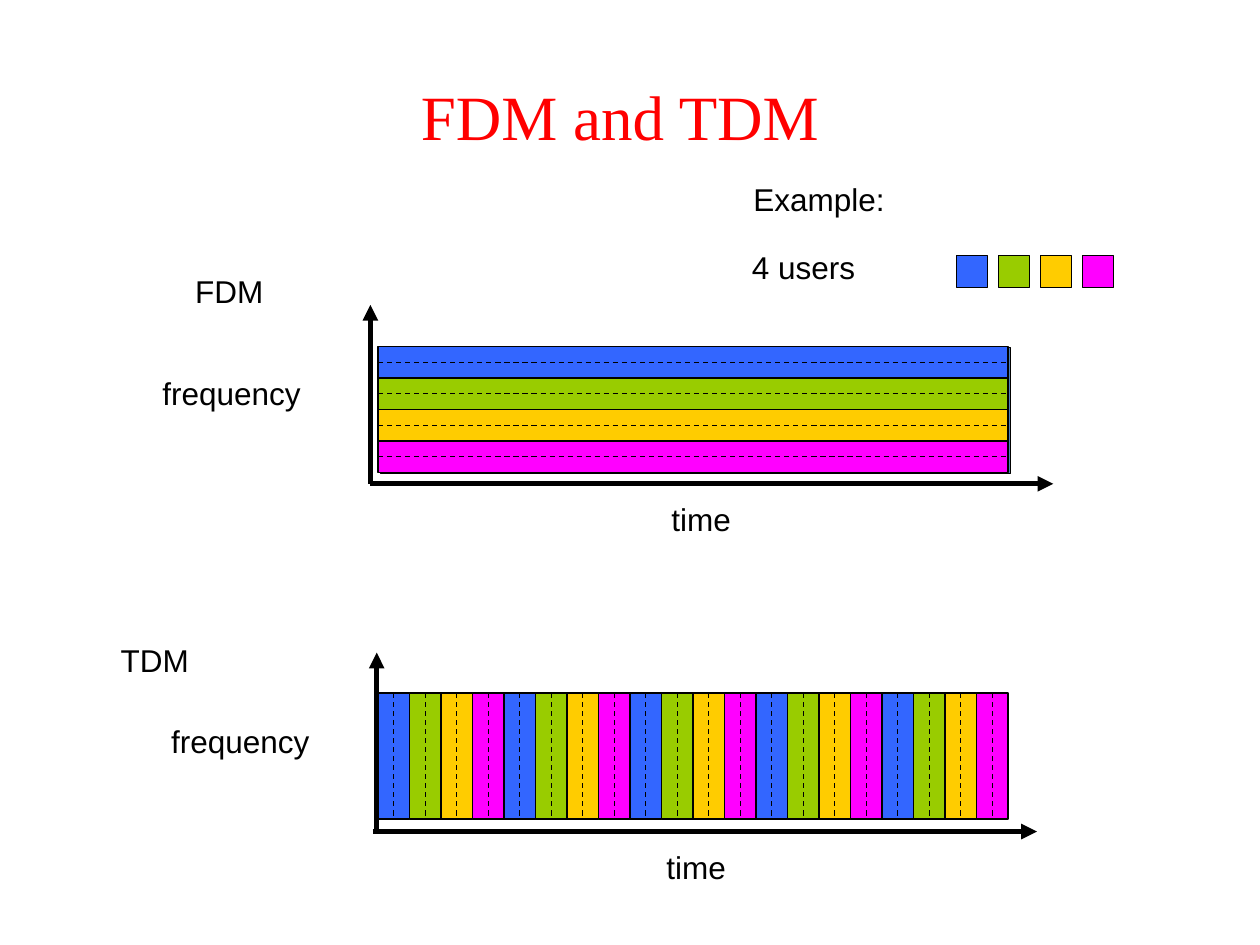
"""Build a slide comparing frequency and time division multiplexing."""
from typing import NamedTuple

from lxml.etree import SubElement
from pptx import Presentation
from pptx.dml.color import RGBColor
from pptx.enum.dml import MSO_LINE_DASH_STYLE as Dash
from pptx.enum.shapes import MSO_CONNECTOR as Conn, MSO_SHAPE as Shape
from pptx.enum.text import MSO_ANCHOR as Anchor, PP_ALIGN as Align
from pptx.oxml.ns import qn
from pptx.util import Inches, Pt

COLORS = {"title": "FF0000", "ink": "000000", "back": "4F81BD"}
USERS = {"blue": "3366FF", "green": "99CC00", "gold": "FFCC00", "pink": "FF00FF"}
SLOT = 0.25
SLOTS = 20
LEFT, RIGHT = 3, 8
FDM_TOP, TDM_TOP = 2.75, 5.5
HEIGHT = 1


class Label(NamedTuple):
    text: str
    x: float
    y: float
    w: float
    h: float = 0.5
    anchor: Anchor = Anchor.TOP


class Line(NamedTuple):
    x1: float
    y1: float
    x2: float
    y2: float


LABELS = [
    Label("FDM", 1.45, 2.11, 0.92),
    Label("frequency", 1.19, 2.92, 1.31, 0.4),
    Label("time", 5.23, 3.92, 0.83),
    Label("4 users", 5.87, 1.92, 1.3),
    Label("Example:", 5.88, 1.38, 1.59),
    Label("TDM", 0.86, 4.73, 0.76, 0.71, Anchor.BOTTOM),
    Label("frequency", 1.26, 5.68, 1.62),
    Label("time", 5.19, 6.68, 0.81),
]
AXES = [
    Line(2.94, 3.84, 2.94, 2.42),
    Line(2.94, 3.84, 8.36, 3.84),
    Line(2.99, 6.61, 2.99, 5.18),
    Line(2.96, 6.6, 8.23, 6.6),
]


def rgb(value: str) -> RGBColor:
    return RGBColor.from_string(value)


def add_rect(s, x: float, y: float, w: float, h: float, fill: str) -> None:
    sp = s.shapes.add_shape(Shape.RECTANGLE, Inches(x), Inches(y), Inches(w), Inches(h))
    sp.shadow.inherit = False
    sp.fill.solid()
    sp.fill.fore_color.rgb = rgb(fill)
    sp.line.color.rgb = rgb(COLORS["ink"])
    sp.line.width = Pt(0.75)


def add_line(s, line: Line, width: float = 0.75, dashed: bool = False, arrow: bool = False) -> None:
    cx = s.shapes.add_connector(Conn.STRAIGHT, *(Inches(v) for v in line))
    cx.line.color.rgb = rgb(COLORS["ink"])
    cx.line.width = Pt(width)
    if dashed:
        cx.line.dash_style = Dash.DASH
    if arrow:
        SubElement(cx.line._get_or_add_ln(), qn("a:tailEnd"), type="triangle")
    SubElement(cx._element.spPr, qn("a:effectLst"))


def add_label(s, label: Label) -> None:
    box = s.shapes.add_textbox(*(Inches(v) for v in label[1:5]))
    tf = box.text_frame
    tf.word_wrap = True
    tf.margin_right = 0
    tf.vertical_anchor = label.anchor
    p = tf.paragraphs[0]
    p.text = label.text
    p.font.name = "Arial"
    p.font.size = Pt(18)
    p.font.color.rgb = rgb(COLORS["ink"])


def add_title(s, text: str) -> None:
    sp = s.shapes.title
    sp.left, sp.top, sp.width, sp.height = (Inches(v) for v in (0.42, 0.33, 9, 1.17))
    sp.text_frame.vertical_anchor = Anchor.MIDDLE
    p = sp.text_frame.paragraphs[0]
    p.text = text
    p.alignment = Align.CENTER
    p.font.name = "Times New Roman"
    p.font.size = Pt(36)
    p.font.color.rgb = rgb(COLORS["title"])


def row_line(offset: float) -> Line:
    y = FDM_TOP + offset * SLOT
    return Line(LEFT, y, RIGHT, y)


def column_line(offset: float) -> Line:
    x = LEFT + offset * SLOT
    return Line(x, TDM_TOP, x, TDM_TOP + HEIGHT)


def main() -> None:
    prs = Presentation()
    prs.slide_width, prs.slide_height = Inches(10), Inches(7.5)
    s = prs.slides.add_slide(prs.slide_layouts[5])
    add_title(s, "FDM and TDM")

    fills = list(USERS.values())
    add_rect(s, 3.02, 2.76, RIGHT - LEFT, HEIGHT, COLORS["back"])
    for i, fill in enumerate(fills):
        add_rect(s, LEFT, FDM_TOP + i * SLOT, RIGHT - LEFT, SLOT, fill)
        add_rect(s, 7.59 + i / 3, 2.03, SLOT, SLOT, fill)
    for i in range(SLOTS):
        add_rect(s, LEFT + i * SLOT, TDM_TOP, SLOT, HEIGHT, fills[i % len(fills)])

    for count, line_at in ((len(fills), row_line), (SLOTS, column_line)):
        for i in range(1, count):
            add_line(s, line_at(i))
        for i in range(count):
            add_line(s, line_at(i + 0.5), dashed=True)

    for axis in AXES:
        add_line(s, axis, width=3, arrow=True)
    for label in LABELS:
        add_label(s, label)
    prs.save("out.pptx")


if __name__ == "__main__":
    main()
